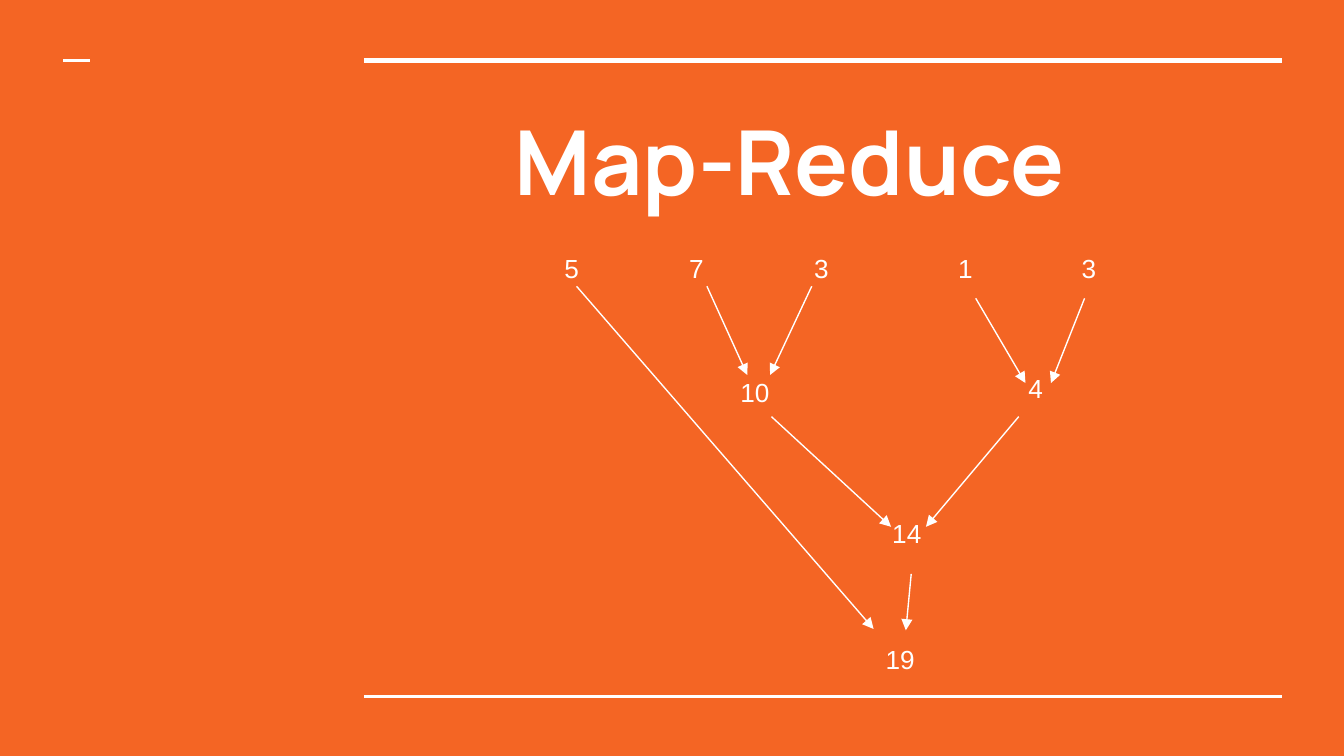
from pptx import Presentation
from pptx.dml.color import RGBColor
from pptx.enum.shapes import MSO_CONNECTOR
from pptx.enum.text import MSO_ANCHOR, MSO_AUTO_SIZE, PP_ALIGN
from pptx.oxml.ns import qn
from pptx.util import Inches, Pt
from lxml import etree

STRAIGHT = MSO_CONNECTOR.STRAIGHT
TOP = MSO_ANCHOR.TOP
NO_AUTOFIT = MSO_AUTO_SIZE.NONE
LEFT, CENTER = PP_ALIGN.LEFT, PP_ALIGN.CENTER
ORANGE, WHITE = "F46524", "FFFFFF"


def format_text(frame, text, font_name, size, bold=False, align=LEFT):
    """Fill a text frame with one white paragraph."""
    frame.text = text
    frame_format = {
        "margin_left": Inches(0.1), "margin_right": Inches(0.1),
        "margin_top": Inches(0.1), "margin_bottom": Inches(0.1),
        "word_wrap": True, "auto_size": NO_AUTOFIT, "vertical_anchor": TOP,
    }
    for attribute, value in frame_format.items():
        setattr(frame, attribute, value)
    paragraph = frame.paragraphs[0]
    paragraph.alignment = align
    font_format = {"name": font_name, "size": Pt(size), "bold": bold}
    for attribute, value in font_format.items():
        setattr(paragraph.font, attribute, value)
    paragraph.font.color.rgb = RGBColor.from_string(WHITE)
    return paragraph


def add_line(start, end, width, arrow=False):
    line = slide.shapes.add_connector(STRAIGHT, *map(Inches, start + end))
    line.line.color.rgb = RGBColor.from_string(WHITE)
    line.line.width = Pt(width)
    if arrow:
        outline = line.line._get_or_add_ln()
        etree.SubElement(outline, qn("a:tailEnd"), type="triangle")
    etree.SubElement(line._element.spPr, qn("a:effectLst"))


prs = Presentation()
prs.slide_width = Inches(10)
prs.slide_height = prs.slide_width * 9 // 16
slide = prs.slides.add_slide(prs.slide_layouts[5])
slide.background.fill.solid()
slide.background.fill.fore_color.rgb = RGBColor.from_string(ORANGE)

# Frame rules
for left, right, y, width in [(2.71, 9.54, 0.45, 3), (2.71, 9.54, 5.18, 1.5),
                              (0.47, 0.67, 0.45, 1.5)]:
    add_line((left, y), (right, y), width)

title = slide.shapes.title
title.left, title.top = Inches(2.59), Inches(0.69)
title.width, title.height = Inches(6.92), Inches(3.16)
heading = format_text(title.text_frame, "Map-Reduce", "Manrope", 48, bold=True)
heading.line_spacing = 1.0
heading_indent = heading._p.get_or_add_pPr()
heading_indent.set("marL", str(Inches(1.14)))
heading_indent.set("indent", "0")

# Input numbers, then their partial sums
numbers = [("5", 4.1, 1.78), ("7", 5.03, 1.78), ("3", 5.96, 1.78),
           ("1", 7.03, 1.78), ("3", 7.95, 1.78),
           ("10", 5.41, 2.7), ("4", 7.46, 2.67),
           ("14", 6.54, 3.75), ("19", 6.49, 4.69)]
for number, left, top in numbers:
    is_input = top == 1.78
    box = slide.shapes.add_textbox(Inches(left), Inches(top),
                                   Inches(0.31 if is_input else 0.49),
                                   Inches(0.46 if number == "10" else 0.52))
    format_text(box.text_frame, number, "Arial", 14,
                align=CENTER if number == "4" else LEFT)

reductions = [
    ((7.26, 2.22), (7.63, 2.85)),  # 1 to 4
    ((8.07, 2.22), (7.82, 2.85)),  # 3 to 4
    ((5.26, 2.13), (5.56, 2.79)),  # 7 to 10
    ((6.04, 2.13), (5.73, 2.79)),  # 3 to 10
    ((5.74, 3.1), (6.63, 3.92)),   # 10 to 14
    ((7.58, 3.1), (6.89, 3.92)),   # 4 to 14
    ((4.29, 2.13), (6.5, 4.68)),   # 5 to 19
    ((6.78, 4.27), (6.74, 4.69)),  # 14 to 19
]
for start, end in reductions:
    add_line(start, end, 0.75, arrow=True)

prs.save("out.pptx")
